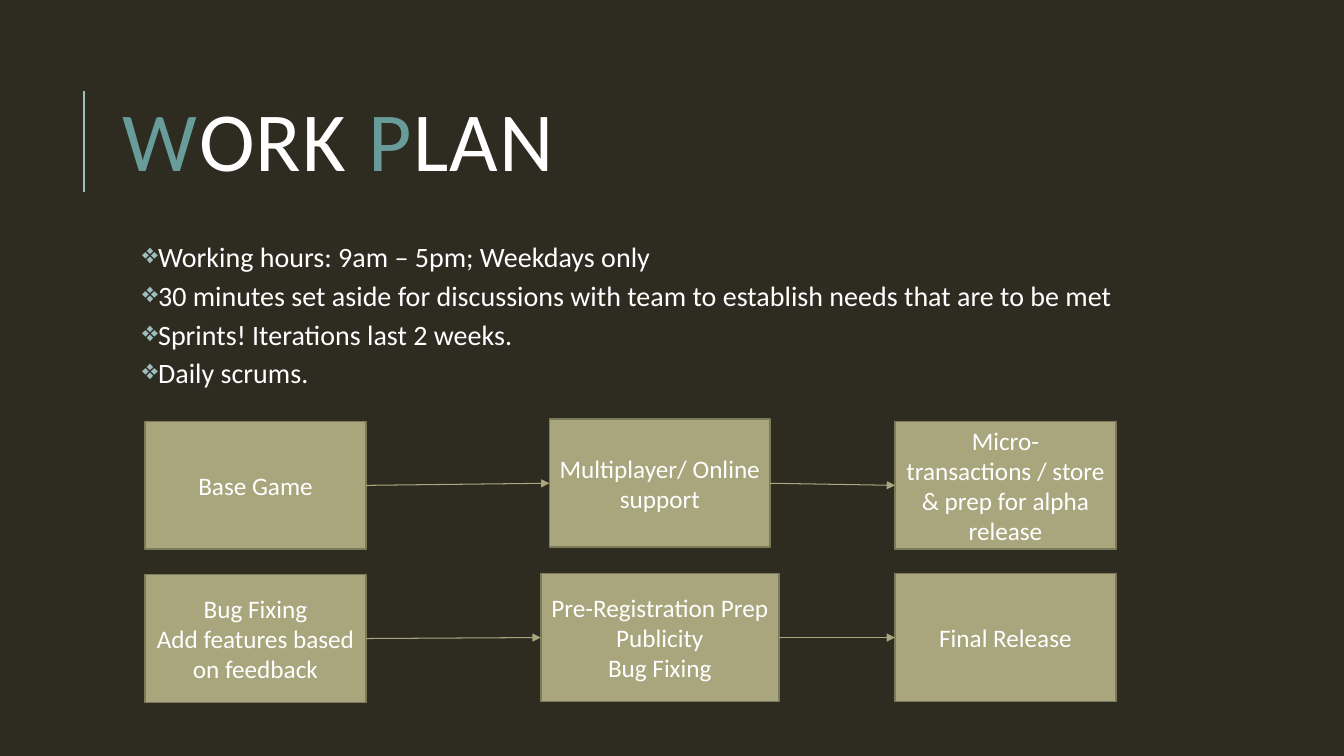
from lxml.etree import SubElement
from pptx import Presentation
from pptx.dml.color import RGBColor
from pptx.enum.shapes import MSO_CONNECTOR, MSO_SHAPE
from pptx.enum.text import MSO_ANCHOR, MSO_AUTO_SIZE, PP_ALIGN
from pptx.oxml.ns import qn
from pptx.util import Pt

COLORS = {
    "background": "2E2B21",
    "accent": "689C9A",
    "rule": "9CBEBD",
    "box": "A9A57C",
    "border": "7D7A5C",
    "text": "FFFFFF",
}
FONT = "Calibri"

TITLE = [("W", "accent"), ("ORK", "text"), (" P", "accent"), ("LAN", "text")]
BULLETS = [
    "Working hours: 9am – 5pm; Weekdays only",
    "30 minutes set aside for discussions with team to establish needs that are to be met",
    "Sprints! Iterations last 2 weeks.",
    "Daily scrums.",
]
STAGES = [
    [
        (["Base Game"], 301, 157.7),
        (["Multiplayer/ Online support"], 299.5, 157.7),
        (["Micro-transactions / store & prep for alpha release"], 301, 157.7),
    ],
    [
        (["Bug Fixing", "Add features based on feedback"], 410.4, 157.7),
        (["Pre-Registration Prep", "Publicity", "Bug Fixing"], 409.7, 170),
        (["Final Release"], 409.7, 157.7),
    ],
]
STAGE_CENTERS = [182.5, 471.3, 718.2]
STAGE_HEIGHT = 91.4


def color(name):
    return RGBColor.from_string(COLORS[name])


def add_text(paragraph, text, size, fill="text", tracking=None):
    run = paragraph.add_run()
    run.text = text
    run.font.name = FONT
    run.font.size = Pt(size)
    run.font.color.rgb = color(fill)
    if tracking:
        run.font._element.set("spc", str(tracking * 100))


def next_paragraph(frame, index):
    return frame.add_paragraph() if index else frame.paragraphs[0]


def add_title(slide):
    title = slide.shapes.title
    title.left, title.top, title.width, title.height = Pt(80.6), Pt(46), Pt(765.4), Pt(118)
    frame = title.text_frame
    frame.auto_size = MSO_AUTO_SIZE.NONE
    frame.vertical_anchor = MSO_ANCHOR.MIDDLE
    paragraph = frame.paragraphs[0]
    paragraph.alignment = PP_ALIGN.LEFT
    paragraph.line_spacing = 0.8
    for text, fill in TITLE:
        add_text(paragraph, text, size=60, fill=fill, tracking=1)


def add_bullets(slide):
    frame = slide.shapes.add_textbox(Pt(87.8), Pt(170.6), Pt(731.5), Pt(131)).text_frame
    frame.word_wrap = True
    frame.margin_left = frame.margin_right = Pt(3.6)
    frame.margin_top = frame.margin_bottom = Pt(3.6)
    for index, text in enumerate(BULLETS):
        paragraph = next_paragraph(frame, index)
        paragraph.level = 1
        paragraph.line_spacing = 0.9
        paragraph.space_before = Pt(2)
        paragraph.space_after = Pt(4)
        properties = paragraph._p.get_or_add_pPr()
        properties.set("marL", str(Pt(20.9)))
        properties.set("indent", str(-Pt(10.8)))
        bullet_color = SubElement(properties, qn("a:buClr"))
        SubElement(bullet_color, qn("a:srgbClr"), val=COLORS["rule"])
        SubElement(properties, qn("a:buChar"), char="❖")
        add_text(paragraph, text, size=20)


def add_line(slide, start, end, fill, width):
    line = slide.shapes.add_connector(MSO_CONNECTOR.STRAIGHT, *map(Pt, start + end))
    line.line.color.rgb = color(fill)
    line.line.width = Pt(width)
    SubElement(line._element.spPr, qn("a:effectLst"))
    return line


def add_stage(slide, lines, center, top, width):
    box = slide.shapes.add_shape(
        MSO_SHAPE.RECTANGLE, Pt(center - width / 2), Pt(top), Pt(width), Pt(STAGE_HEIGHT)
    )
    box.shadow.inherit = False
    box.fill.solid()
    box.fill.fore_color.rgb = color("box")
    box.line.color.rgb = color("border")
    box.line.width = Pt(1.25)
    frame = box.text_frame
    frame.word_wrap = True
    frame.vertical_anchor = MSO_ANCHOR.MIDDLE
    for index, text in enumerate(lines):
        paragraph = next_paragraph(frame, index)
        paragraph.alignment = PP_ALIGN.CENTER
        add_text(paragraph, text, size=18)
    return box


def add_arrow(slide, source, target):
    arrow = add_line(slide, (0, 0), (0, 0), "box", 0.75)
    arrow.begin_connect(source, 3)
    arrow.end_connect(target, 1)
    SubElement(arrow.line._get_or_add_ln(), qn("a:tailEnd"), type="triangle")


def main():
    presentation = Presentation()
    presentation.slide_width, presentation.slide_height = Pt(960), Pt(540)
    slide = presentation.slides.add_slide(presentation.slide_layouts[5])
    slide.background.fill.solid()
    slide.background.fill.fore_color.rgb = color("background")
    add_line(slide, (60, 136.8), (60, 64.8), "rule", 1.5)
    add_title(slide)
    add_bullets(slide)
    for row in STAGES:
        boxes = [
            add_stage(slide, lines, center, top, width)
            for center, (lines, top, width) in zip(STAGE_CENTERS, row)
        ]
        for source, target in zip(boxes, boxes[1:]):
            add_arrow(slide, source, target)
    presentation.save("out.pptx")


if __name__ == "__main__":
    main()
